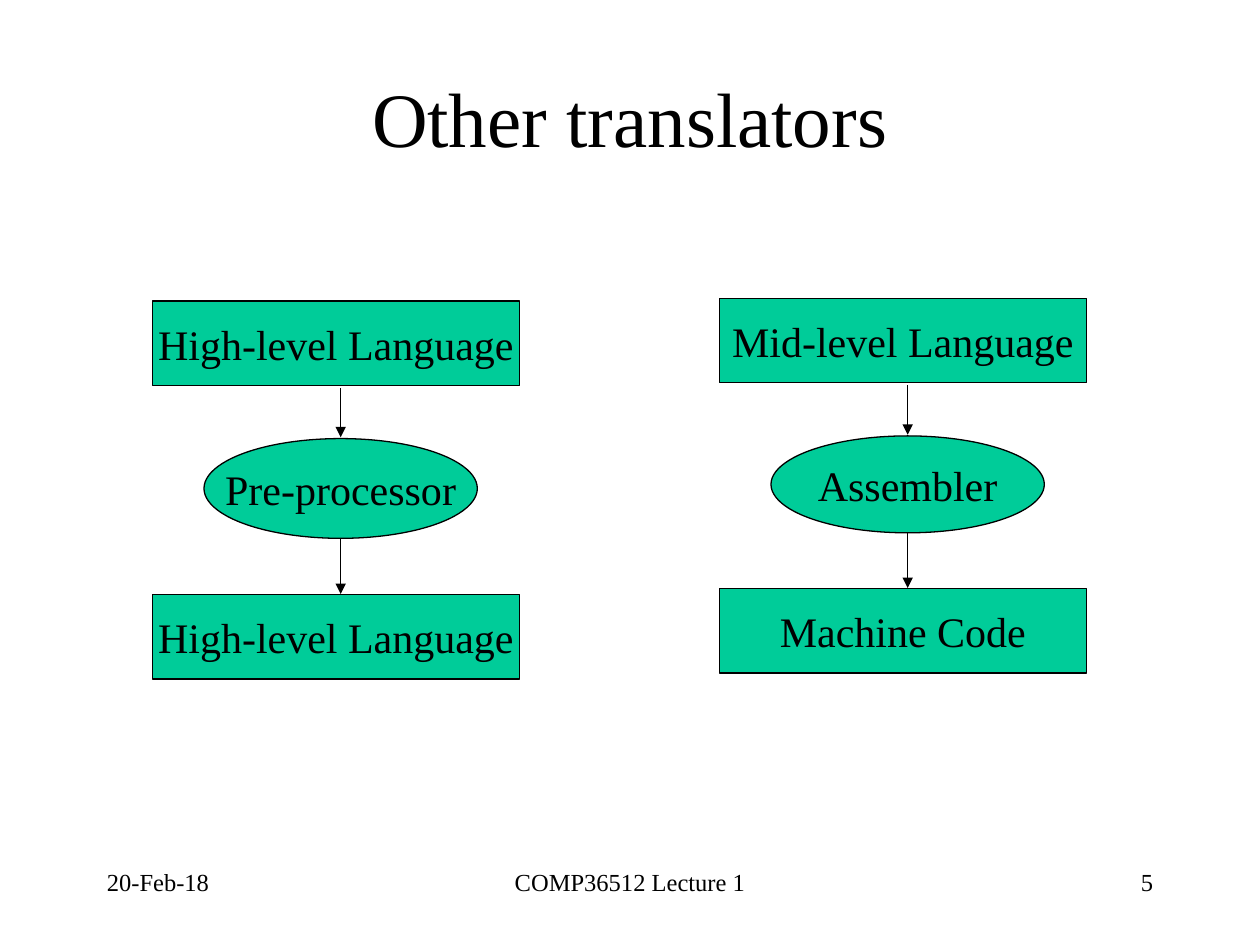
from lxml import etree
from pptx import Presentation
from pptx import util as u
from pptx.dml.color import RGBColor
from pptx.enum import shapes, text
from pptx.oxml import ns

COLORS = {"ink": "000000", "box": "00CC99", "paper": "FFFFFF"}
FONT = "Times New Roman"
BOX_W, BOX_H = 210, 48.2
OVAL_W, OVAL_INSET = 156.2, 29.6


def color(name):
    return RGBColor.from_string(COLORS[name])


def write(sp, content, size=24, align="CENTER", anchor="MIDDLE", wrap=False):
    tf = sp.text_frame
    tf.word_wrap = wrap
    tf.vertical_anchor = text.MSO_ANCHOR[anchor]
    p = tf.paragraphs[0]
    p.alignment = text.PP_ALIGN[align]
    r = p.add_run()
    r.text = content
    r.font.name = FONT
    r.font.size = u.Pt(size)
    r.font.color.rgb = color("ink")


def add_label(s, content, x, y, w, h, **fmt):
    sp = s.shapes.add_textbox(u.Pt(x), u.Pt(y), u.Pt(w), u.Pt(h))
    write(sp, content, wrap=True, **fmt)


def add_node(s, kind, content, x, y, w, h):
    sp = s.shapes.add_shape(kind, u.Pt(x), u.Pt(y), u.Pt(w), u.Pt(h))
    sp.shadow.inherit = False
    sp.fill.solid()
    sp.fill.fore_color.rgb = color("box")
    sp.line.color.rgb = color("ink")
    sp.line.width = u.Pt(0.75)
    write(sp, content)


def add_arrow(s, x, top, bottom):
    c = s.shapes.add_connector(
        shapes.MSO_CONNECTOR.STRAIGHT, u.Pt(x), u.Pt(top), u.Pt(x), u.Pt(bottom))
    c.line.color.rgb = color("ink")
    c.line.width = u.Pt(0.75)
    ln = c.line._get_or_add_ln()
    etree.SubElement(ln, ns.qn("a:tailEnd"), type="triangle")
    etree.SubElement(ln.getparent(), ns.qn("a:effectLst"))


def add_translator(s, x, source, tool, target, source_y, oval_y, oval_h, target_y):
    rect, oval = shapes.MSO_SHAPE.RECTANGLE, shapes.MSO_SHAPE.OVAL
    add_node(s, rect, source, x, source_y, BOX_W, BOX_H)
    add_node(s, rect, target, x, target_y, BOX_W, BOX_H)
    add_node(s, oval, tool, x + OVAL_INSET, oval_y, OVAL_W, oval_h)
    center = x + OVAL_INSET + OVAL_W / 2
    add_arrow(s, center, source_y + BOX_H + 1.5, oval_y - 0.7)
    add_arrow(s, center, oval_y + oval_h, target_y - 0.4)


def main():
    prs = Presentation()
    prs.slide_width, prs.slide_height = u.Pt(720), u.Pt(540)
    s = prs.slides.add_slide(prs.slide_layouts[6])
    s.background.fill.solid()
    s.background.fill.fore_color.rgb = color("paper")

    add_label(s, "Other translators", 54, 21.6, 612, 90, size=44)
    for content, x, w, align in (
        ("20-Feb-18", 54, 150, "LEFT"),
        ("COMP36512 Lecture 1", 246, 228, "CENTER"),
        ("5", 516, 150, "RIGHT"),
    ):
        add_label(s, content, x, 492, w, 36, size=14, align=align, anchor="TOP")

    add_translator(s, 411, "Mid-level Language", "Assembler", "Machine Code",
                   170.6, 249.1, 55.4, 336.4)
    add_translator(s, 87, "High-level Language", "Pre-processor", "High-level Language",
                   172.1, 250.6, 57, 339.8)
    prs.save("out.pptx")


if __name__ == "__main__":
    main()
